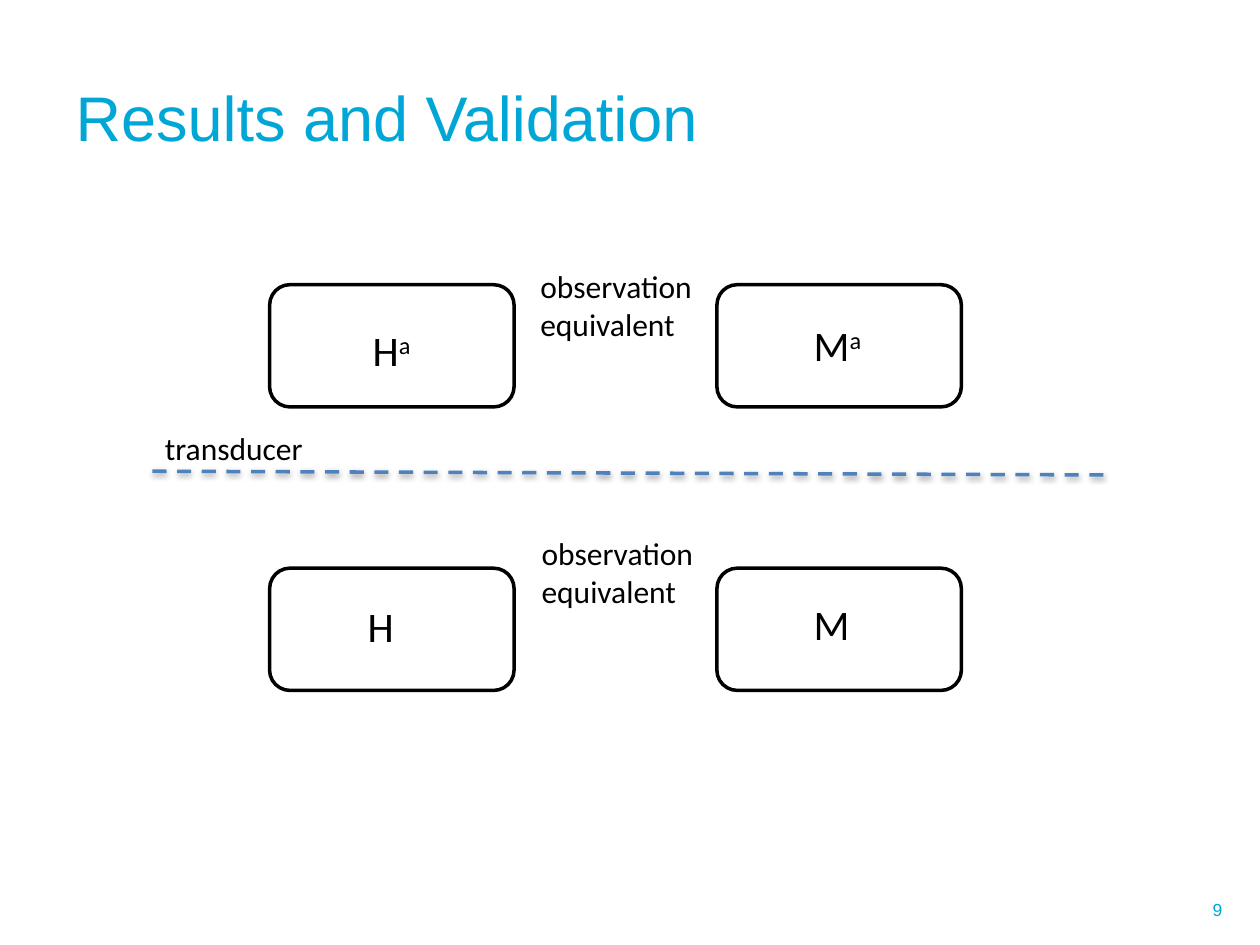
from lxml.etree import SubElement
from pptx import Presentation
from pptx.dml.color import RGBColor
from pptx.enum.dml import MSO_LINE_DASH_STYLE as DASH
from pptx.enum.shapes import MSO_CONNECTOR as CONN, MSO_SHAPE as SHAPE
from pptx.enum.text import MSO_ANCHOR as ANCHOR, PP_ALIGN as ALIGN
from pptx.oxml.ns import qn
from pptx.util import Inches, Pt


def color(value):
    return RGBColor.from_string(value)


def add_text(x, y, w, h, text, size, font="Calibri", hue="000000"):
    tf = s.shapes.add_textbox(Inches(x), Inches(y), Inches(w), Inches(h)).text_frame
    tf.word_wrap = True
    tf.text = text
    for p in tf.paragraphs:
        p.font.size, p.font.name = Pt(size), font
        p.font.color.rgb = color(hue)
    return tf


prs = Presentation()
prs.slide_width, prs.slide_height = Inches(10), Inches(7.5)
s = prs.slides.add_slide(prs.slide_layouts[5])

# Grid of the four model boxes
COLS, ROWS = (2.14, 5.69), (2.26, 4.51)
BOX_W, BOX_H = 1.94, 0.97
CYAN = "00A6D6"

# Title
title = s.shapes.title
title.left, title.top = Inches(0.5), Inches(0.3)
title.width, title.height = Inches(9.14), Inches(1.25)
tf = title.text_frame
tf.text = "Results and Validation"
tf.vertical_anchor = ANCHOR.MIDDLE
p = tf.paragraphs[0]
p.alignment = ALIGN.LEFT
p.font.size, p.font.name = Pt(36), "Arial"
p.font.color.rgb = color(CYAN)

# Model boxes
for y in ROWS:
    for x in COLS:
        sp = s.shapes.add_shape(SHAPE.ROUNDED_RECTANGLE, Inches(x), Inches(y),
                                Inches(BOX_W), Inches(BOX_H))
        sp.shadow.inherit = False
        sp.fill.solid()
        sp.fill.fore_color.rgb = color("FFFFFF")
        sp.line.color.rgb = color("000000")
        sp.line.width = Pt(2)

# Dashed transducer line with a soft shadow below it
line = s.shapes.add_connector(CONN.STRAIGHT, Inches(1.21), Inches(3.74),
                              Inches(8.81), Inches(3.77))
line.line.color.rgb = color("4F81BD")
line.line.width = Pt(2)
line.line.dash_style = DASH.DASH
effects = SubElement(line._element.spPr, qn("a:effectLst"))
shadow = SubElement(effects, qn("a:outerShdw"), blurRad=str(Pt(3.1)),
                    dist=str(Pt(1.6)), dir="5400000", rotWithShape="0")
black = SubElement(shadow, qn("a:srgbClr"), val="000000")
SubElement(black, qn("a:alpha"), val="38000")
add_text(1.21, 3.36, 2.47, 0.4, "transducer", 18)

# Relation between the models of each row
for x, y in ((4.19, 2.07), (4.2, 4.19)):
    add_text(x, y, 2.47, 0.71, "observation\nequivalent", 18)

# Model names, the upper row with a superscript
for x, y, w, name, sup in ((2.86, 2.53, 0.58, "H", "a"), (6.36, 2.49, 0.78, "M", "a"),
                           (2.82, 4.72, 0.58, "H", ""), (6.36, 4.7, 0.58, "M", "")):
    p = add_text(x, y, w, 0.5, name, 24).paragraphs[0]
    if sup:
        r = p.add_run()
        r.text = sup
        r.font._element.set("baseline", "30000")

# Slide number
tf = add_text(7.27, 7.02, 2.53, 0.4, "9", 10, "Arial", CYAN)
tf.vertical_anchor = ANCHOR.MIDDLE
tf.paragraphs[0].alignment = ALIGN.RIGHT

prs.save("out.pptx")
